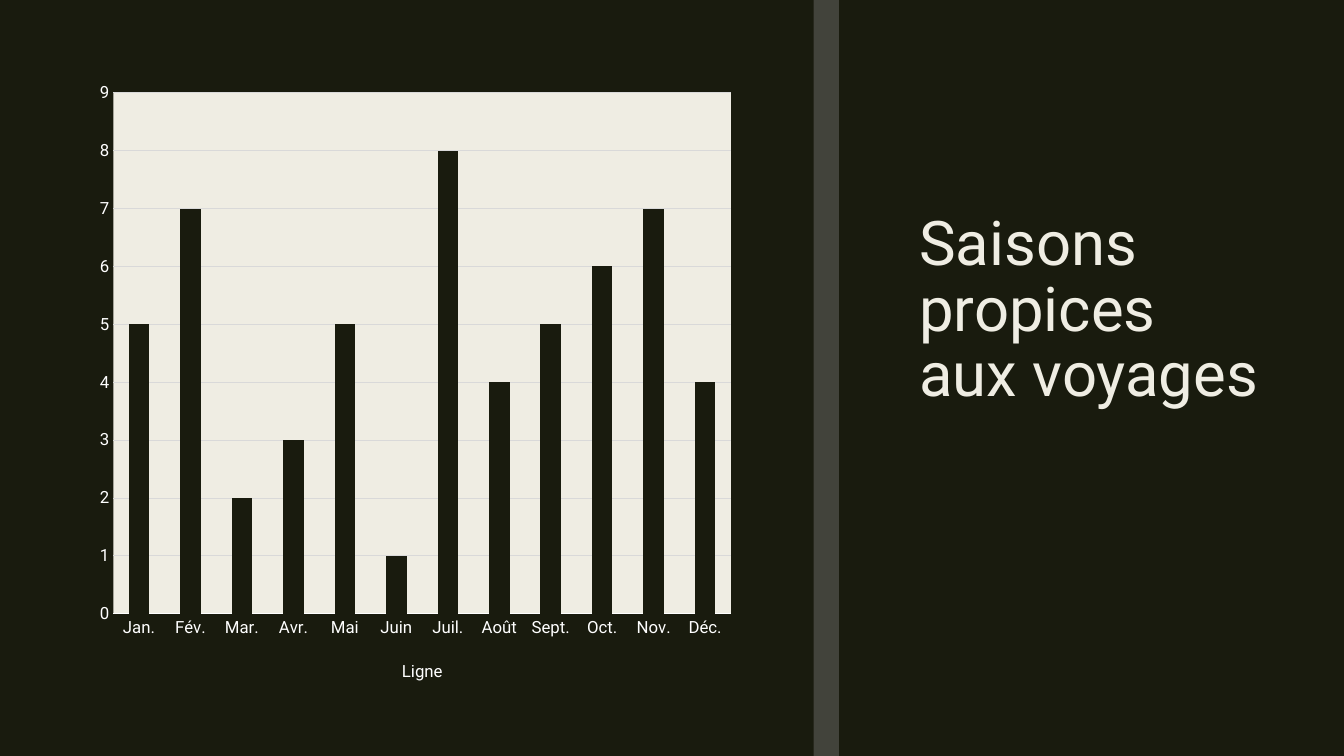
from lxml import etree
from pptx import Presentation
from pptx.chart.data import CategoryChartData
from pptx.dml.color import RGBColor
from pptx.enum.chart import XL_CHART_TYPE, XL_LEGEND_POSITION, XL_TICK_MARK
from pptx.enum.shapes import MSO_SHAPE
from pptx.enum.text import MSO_ANCHOR
from pptx.oxml import parse_xml
from pptx.oxml.ns import nsdecls, qn
from pptx.util import Inches, Pt

STACKED = XL_CHART_TYPE.COLUMN_STACKED
BOTTOM = XL_LEGEND_POSITION.BOTTOM
NO_TICK = XL_TICK_MARK.NONE
RECTANGLE = MSO_SHAPE.RECTANGLE
MIDDLE = MSO_ANCHOR.MIDDLE

DARK, CREAM, WHITE, GRID, GREY = "191B0E", "EFEDE3", "FFFFFF", "D9D9D9", "808080"
TOP = Inches(0.7)


def rgb(value):
    return RGBColor.from_string(value)


def style(font, size, color):
    font.name = "Roboto"
    font.size = Pt(size)
    font.color.rgb = rgb(color)


prs = Presentation()
prs.slide_width, prs.slide_height = Inches(13.33), Inches(7.5)
slide = prs.slides.add_slide(prs.slide_layouts[6])

# Background
slide.background.fill.solid()
slide.background.fill.fore_color.rgb = rgb(DARK)

# Title
title = slide.shapes.add_textbox(Inches(9.02), TOP, Inches(3.61), Inches(4.78)).text_frame
title.word_wrap = True
title.vertical_anchor = MIDDLE
heading = title.paragraphs[0]
heading.text = "Saisons propices aux voyages"
heading.line_spacing = 0.89
style(heading.font, 44, CREAM)

# Translucent divider
divider = slide.shapes.add_shape(RECTANGLE, Inches(8.07), 0, Inches(0.25), prs.slide_height)
divider.shadow.inherit = False
divider.line.fill.background()
divider.fill.solid()
divider.fill.fore_color.rgb = rgb(GREY)
divider_color = divider.fill._xPr.find(qn("a:solidFill"))[0]
etree.SubElement(divider_color, qn("a:alpha")).set("val", "40000")

# Monthly values
months = CategoryChartData()
months.categories = ["Jan.", "Fév.", "Mar.", "Avr.", "Mai", "Juin",
                     "Juil.", "Août", "Sept.", "Oct.", "Nov.", "Déc."]
months.add_series("Ligne", (5, 7, 2, 3, 5, 1, 8, 4, 5, 6, 7, 4))
seasons = slide.shapes.add_chart(
    STACKED, Inches(0.86), TOP, Inches(6.52), Inches(6.1), months).chart
seasons.has_title = False
style(seasons.font, 10, WHITE)

# Columns on a cream plot area
columns = seasons.plots[0]
columns.gap_width, columns.overlap = 150, 100
columns.vary_by_categories = False
columns.series[0].format.fill.solid()
columns.series[0].format.fill.fore_color.rgb = rgb(DARK)
plot_area = seasons._chartSpace.find(".//" + qn("c:plotArea"))
plot_area.append(parse_xml(
    f'<c:spPr {nsdecls("c", "a")}><a:solidFill><a:srgbClr val="{CREAM}"/></a:solidFill>'
    '<a:ln><a:noFill/></a:ln></c:spPr>'))

# Axes
month_axis, value_axis = seasons.category_axis, seasons.value_axis
for axis in (month_axis, value_axis):
    axis.major_tick_mark = axis.minor_tick_mark = NO_TICK
    style(axis.tick_labels.font, 12, WHITE)
month_axis.format.line.color.rgb = rgb(WHITE)
month_axis.format.line.width = Pt(0.75)
value_axis.format.line.fill.background()
value_axis.minimum_scale, value_axis.maximum_scale, value_axis.major_unit = 0, 9, 1
value_axis.major_gridlines.format.line.color.rgb = rgb(GRID)
value_axis.major_gridlines.format.line.width = Pt(0.75)

# Legend
seasons.has_legend = True
seasons.legend.position = BOTTOM
seasons.legend.include_in_layout = False
style(seasons.legend.font, 12, WHITE)

prs.save("out.pptx")
